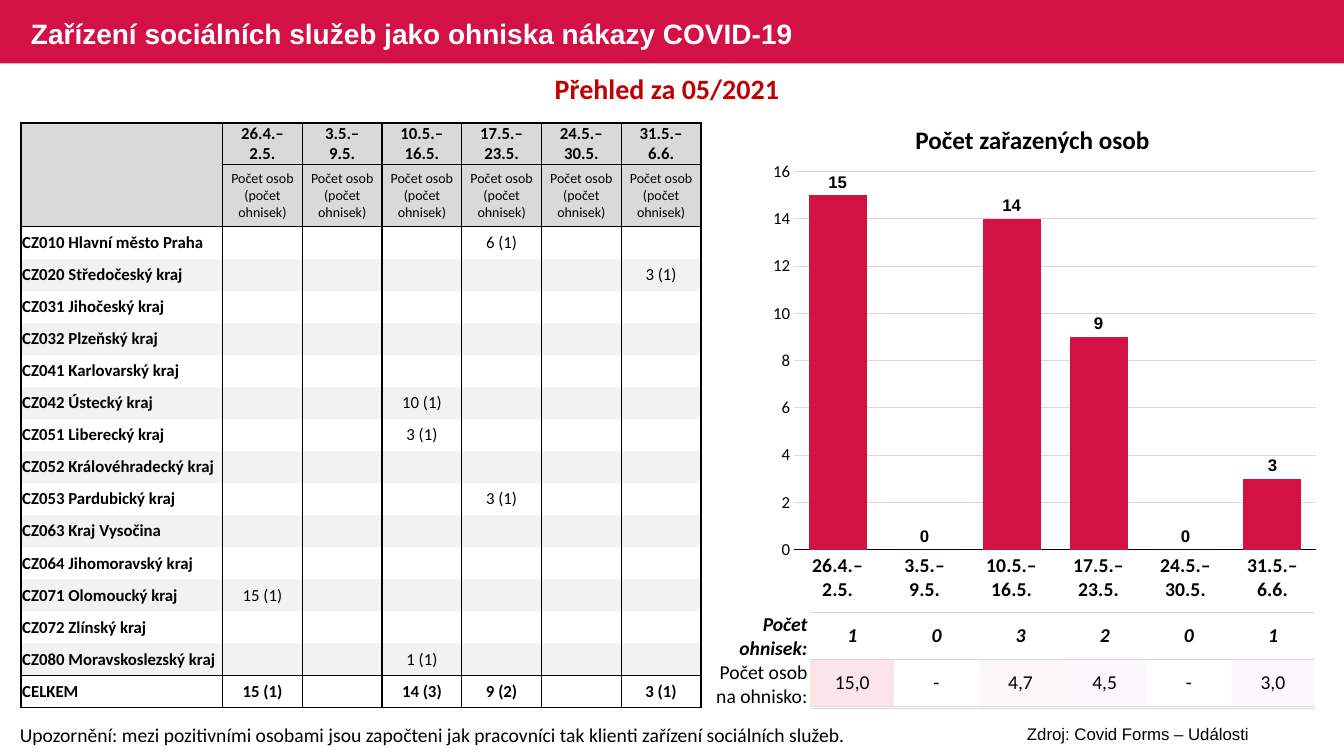
"""Build the slide on outbreaks in social service homes."""
from copy import deepcopy
from dataclasses import dataclass

from lxml import etree
from pptx import Presentation
from pptx.chart.data import CategoryChartData
from pptx.dml.color import RGBColor
from pptx.enum.chart import XL_CHART_TYPE, XL_LABEL_POSITION, XL_TICK_MARK
from pptx.enum.shapes import MSO_SHAPE
from pptx.enum.text import MSO_ANCHOR, PP_ALIGN
from pptx.oxml.ns import qn
from pptx.util import Cm, Pt

LEFT, MID, RIGHT = PP_ALIGN.LEFT, PP_ALIGN.CENTER, PP_ALIGN.RIGHT
TOP, CENTER = MSO_ANCHOR.TOP, MSO_ANCHOR.MIDDLE
COLUMN = XL_CHART_TYPE.COLUMN_CLUSTERED
OUTSIDE = XL_LABEL_POSITION.OUTSIDE_END
NO_TICK = XL_TICK_MARK.NONE
RECT = MSO_SHAPE.RECTANGLE

HUES = {"red": "D31145", "dark": "C00000", "black": "000000", "white": "FFFFFF",
        "head": "D9D9D9", "band": "F2F2F2", "high": "FCE5E8", "mid": "FCF6F9",
        "low": "FCF7FA", "least": "FCF9FC"}

WEEKS = ["26.4.–\n2.5.", "3.5.–\n9.5.", "10.5.–\n16.5.",
         "17.5.–\n23.5.", "24.5.–\n30.5.", "31.5.–\n6.6."]
CASES = [15, 0, 14, 9, 0, 3]
UNIT = "Počet osob (počet ohnisek)"


@dataclass
class Label:
    """Text box with its place in centimetres and its format."""
    text: str
    box: tuple[float, float, float, float]
    size: int
    font: str = "Calibri"
    hue: str = "black"
    bold: bool = False
    align: PP_ALIGN = MID
    anchor: MSO_ANCHOR = TOP


@dataclass
class Region:
    """Region name with its counts by week number."""
    name: str
    counts: dict[int, str]


LABELS = [
    Label("Zařízení sociálních služeb jako ohniska nákazy COVID-19", (0.53, 0.05, 20.65, 1.6),
          20, "Arial", "white", True, LEFT, CENTER),
    Label("Přehled za 05/2021", (0.53, 1.68, 32.56, 1.12), 20, hue="dark", bold=True),
    Label("Počet zařazených osob", (19.2, 3.02, 13.64, 1.02), 18, bold=True),
    Label("Upozornění: mezi pozitivními osobami jsou započteni jak pracovníci "
          "tak klienti zařízení sociálních služeb.", (0.25, 18.08, 21.64, 0.86), 14, align=LEFT),
    Label("Zdroj: Covid Forms – Události", (23.75, 18.11, 9.86, 0.76), 12, "Arial"),
]

REGIONS = [
    Region("CZ010 Hlavní město Praha", {4: "6 (1)"}),
    Region("CZ020 Středočeský kraj", {6: "3 (1)"}),
    Region("CZ031 Jihočeský kraj", {}),
    Region("CZ032 Plzeňský kraj", {}),
    Region("CZ041 Karlovarský kraj", {}),
    Region("CZ042 Ústecký kraj", {3: "10 (1)"}),
    Region("CZ051 Liberecký kraj", {3: "3 (1)"}),
    Region("CZ052 Královéhradecký kraj", {}),
    Region("CZ053 Pardubický kraj", {4: "3 (1)"}),
    Region("CZ063 Kraj Vysočina", {}),
    Region("CZ064 Jihomoravský kraj", {}),
    Region("CZ071 Olomoucký kraj", {1: "15 (1)"}),
    Region("CZ072 Zlínský kraj", {}),
    Region("CZ080 Moravskoslezský kraj", {3: "1 (1)"}),
    Region("CELKEM", {1: "15 (1)", 3: "14 (3)", 4: "9 (2)", 6: "3 (1)"}),
]

HEADS = [[name] + [""] * 7 for name in ("Počet ohnisek:", "Počet osob na ohnisko:")]
RATES = [["1", "0", "3", "2", "0", "1"], ["15,0", "-", "4,7", "4,5", "-", "3,0"]]
TINTS = {0: "high", 2: "mid", 3: "low", 5: "least"}


def color(hue: str) -> RGBColor:
    """Look up a named colour."""
    return RGBColor.from_string(HUES[hue])


def style(font, size: int, face: str = "Calibri", hue: str = "black",
          bold: bool = False, slant: bool = False) -> None:
    """Set every trait of a font."""
    font.size, font.name, font.bold, font.italic = Pt(size), face, bold, slant
    font.color.rgb = color(hue)


def write(frame, text: str, align: PP_ALIGN = MID, **traits) -> None:
    """Put one formatted paragraph in a text frame."""
    para = frame.paragraphs[0]
    para.text, para.alignment = text, align
    for run in para.runs:
        style(run.font, **traits)
        marks = run.font._element
    for gap in para._p.findall(qn("a:br")):
        gap.insert(0, deepcopy(marks))


def add_label(slide, item: Label) -> None:
    """Draw one text box."""
    frame = slide.shapes.add_textbox(*map(Cm, item.box)).text_frame
    frame.word_wrap, frame.vertical_anchor = True, item.anchor
    write(frame, item.text, item.align, size=item.size, face=item.font,
          hue=item.hue, bold=item.bold)


def add_grid(slide, left: float, top: float, cols: list[float], rows: list[float]):
    """Add a plain table with the given column and row sizes."""
    table = slide.shapes.add_table(len(rows), len(cols), Cm(left), Cm(top),
                                   Cm(sum(cols)), Cm(sum(rows))).table
    table.first_row = table.horz_banding = False
    for parts, trait, sizes in ((table.columns, "width", cols), (table.rows, "height", rows)):
        for part, size in zip(parts, sizes):
            setattr(part, trait, Cm(size))
    return table


def dress(cell, fill: str, edges: dict[str, float], hue: str, pad: float = 0.03) -> None:
    """Set the margins, borders and fill of a cell."""
    cell.vertical_anchor = CENTER
    cell.margin_left, cell.margin_right = Cm(0.03), Cm(pad)
    cell.margin_top = cell.margin_bottom = 0
    props = cell._tc.get_or_add_tcPr()
    for side in "LRTB":
        width = edges.get(side, 0)
        line = etree.SubElement(props, qn(f"a:ln{side}"), w=str(Pt(width)))
        paint = etree.SubElement(line, qn("a:solidFill" if width else "a:noFill"))
        if width:
            etree.SubElement(paint, qn("a:srgbClr"), val=HUES[hue])
    cell.fill.solid()
    cell.fill.fore_color.rgb = color(fill)


def add_regions(slide) -> None:
    """Draw the table of regions by week."""
    body = [[item.name] + [item.counts.get(week, "") for week in range(1, 7)]
            for item in REGIONS]
    cells = [[""] + WEEKS, [""] + [UNIT] * 6] + body
    last = len(cells) - 1
    rules = {0: 1, 1: 1, 2: 0.5, last: 1, last + 1: 1}
    sizes = [1.04, 1.57] + [12.12 / len(body)] * len(body)
    table = add_grid(slide, 0.53, 3.1, [5.08] + [2.01] * 6, sizes)
    for row, texts in enumerate(cells):
        fill = "head" if row < 2 else "band" if row % 2 and row < last else "white"
        for col, text in enumerate(texts):
            edges = {"L": 1, "R": 1, "T": rules.get(row, 0), "B": rules.get(row + 1, 0)}
            if col == 0 and row < 2:
                edges["B" if row == 0 else "T"] = 0
            cell = table.cell(row, col)
            dress(cell, fill, edges, "black")
            write(cell.text_frame, text, MID if col else LEFT, size=10 if row == 1 else 12,
                  bold=col == 0 or row in (0, last))


def add_rates(slide) -> None:
    """Draw the row heads and the values of persons per outbreak."""
    heads = add_grid(slide, 17.88, 15.44, [2.57] + [1.81] * 7, [1.18] * 2)
    rates = add_grid(slide, 20.42, 15.44, [2.12] * 6, [1.18] * 2)
    for table, texts, align, pad in ((heads, HEADS, RIGHT, 0.1), (rates, RATES, MID, 0.03)):
        for row, line in enumerate(texts):
            for col, text in enumerate(line):
                cell = table.cell(row, col)
                tint = TINTS.get(col, "white") if row and table is rates else "white"
                edges = {"T": 1, "B": 1} if table is rates or col else {}
                dress(cell, tint, edges, "head", pad)
                write(cell.text_frame, text, align, size=14, bold=row == 0, slant=row == 0)


def add_bars(slide) -> None:
    """Draw the column chart of persons by week."""
    data = CategoryChartData()
    data.categories = WEEKS
    data.add_series("Series 1", CASES)
    chart = slide.shapes.add_chart(COLUMN, Cm(19.2), Cm(3.84), Cm(14.25), Cm(11.56), data).chart
    chart.has_legend = chart.has_title = False
    style(chart.font, 14, "Arial", bold=True)
    plot = chart.plots[0]
    plot.gap_width, plot.vary_by_categories = 50, False
    fill = plot.series[0].format.fill
    fill.solid()
    fill.fore_color.rgb = color("red")
    tags = plot.series[0].data_labels
    tags.show_value, tags.position = True, OUTSIDE
    style(tags.font, 12, "Arial", bold=True)
    weeks, scale = chart.category_axis, chart.value_axis
    for axis, size in ((weeks, 14), (scale, 12)):
        axis.major_tick_mark = axis.minor_tick_mark = NO_TICK
        style(axis.tick_labels.font, size, bold=axis is weeks)
    scale.minimum_scale, scale.maximum_scale, scale.major_unit = 0, 16, 2
    scale.format.line.fill.background()
    for line, hue in ((weeks.format.line, "black"), (scale.major_gridlines.format.line, "head")):
        line.color.rgb, line.width = color(hue), Pt(0.75)


def main() -> None:
    """Build and save the slide."""
    deck = Presentation()
    deck.slide_width, deck.slide_height = Cm(33.87), Cm(19.05)
    slide = deck.slides.add_slide(deck.slide_layouts[6])
    band = slide.shapes.add_shape(RECT, 0, 0, deck.slide_width, Cm(1.6))
    band.shadow.inherit = False
    band.fill.solid()
    band.fill.fore_color.rgb = color("red")
    band.line.fill.background()
    add_regions(slide)
    add_bars(slide)
    add_rates(slide)
    for item in LABELS:
        add_label(slide, item)
    deck.save("out.pptx")


if __name__ == "__main__":
    main()
